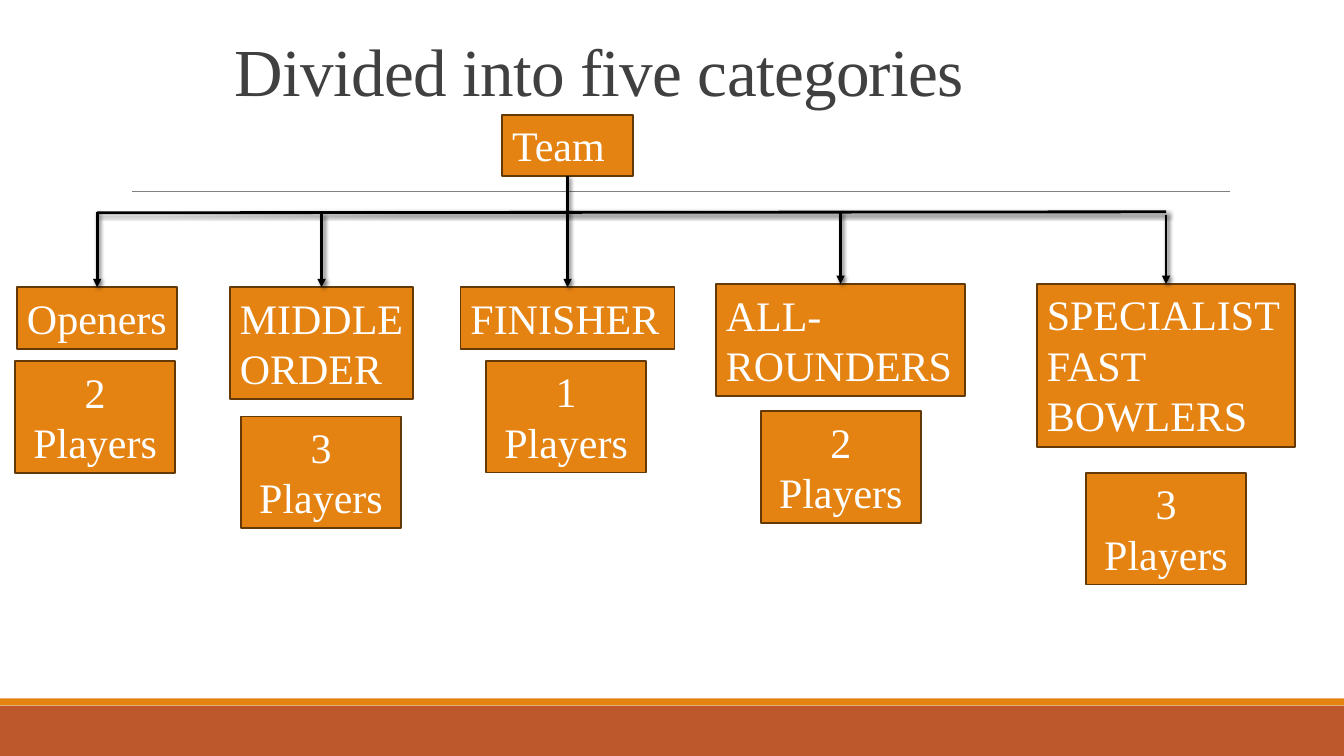
from dataclasses import dataclass

import pptx
import pptx.util
from lxml import etree
from pptx.dml.color import RGBColor
from pptx.enum.shapes import MSO_CONNECTOR, MSO_SHAPE
from pptx.enum.text import MSO_ANCHOR, PP_ALIGN
from pptx.oxml.ns import qn
from pptx.shapes.autoshape import Shape
from pptx.shapes.connector import Connector

Pt = pptx.util.Pt
FONT = "Times New Roman"
COLORS = {
    "orange": "E48312",
    "rust": "BD582C",
    "outline": "643908",
    "title": "404040",
    "rule": "808080",
    "black": "000000",
    "white": "FFFFFF",
}
WIDTH, HEIGHT = 960, 540
COUNT_W, COUNT_H = 114.5, 79.9
TEAM_CENTER = 405.4


@dataclass
class Category:
    label: str
    center: float
    top: float
    width: float
    height: float
    arrow_top: float
    players: int
    count_center: float
    count_top: float


CATEGORIES = [
    Category("Openers", 69.4, 205.2, 114.5, 43.9, 151.2, 2, 68, 257.9),
    Category("MIDDLE ORDER", 229.7, 205.2, 131, 79.9, 153.2, 3, 229.3, 297.5),
    Category("FINISHER", TEAM_CENTER, 205.2, 152.9, 43.9, 126, 1, 404.4, 257.6),
    Category("ALL-ROUNDERS", 600.4, 202.9, 178, 79.9, 151.9, 2, 600.6, 293.7),
    Category("SPECIALIST FAST BOWLERS", 832.9, 202.9, 184.5, 116.4, 153.9, 3, 832.9, 337.7),
]


def rgb(name: str) -> RGBColor:
    return RGBColor.from_string(COLORS[name])


def add_bar(shapes, top: float, height: float, color: str) -> None:
    s = shapes.add_shape(MSO_SHAPE.RECTANGLE, 0, Pt(top), Pt(WIDTH), Pt(height))
    s.shadow.inherit = False
    s.fill.solid()
    s.fill.fore_color.rgb = rgb(color)
    s.line.fill.background()


def add_box(shapes, center: float, top: float, width: float, height: float,
            lines: list[str], align: PP_ALIGN = PP_ALIGN.LEFT) -> Shape:
    s = shapes.add_shape(MSO_SHAPE.RECTANGLE, Pt(center - width / 2), Pt(top), Pt(width), Pt(height))
    s.shadow.inherit = False
    s.fill.solid()
    s.fill.fore_color.rgb = rgb("orange")
    s.line.color.rgb = rgb("outline")
    s.line.width = Pt(1.25)
    tf = s.text_frame
    tf.word_wrap = True
    tf.vertical_anchor = MSO_ANCHOR.TOP
    if align == PP_ALIGN.LEFT:
        tf.margin_right = Pt(4)  # room for the longest word
    tf.text = "\n".join(lines)
    for p in tf.paragraphs:
        p.alignment = align
        p.font.name = FONT
        p.font.size = Pt(30)
        p.font.color.rgb = rgb("white")
    return s


def add_line(shapes, x1: float, y1: float, x2: float, y2: float,
             color: str = "black", weight: float = 2, shadow: bool = True,
             arrow: bool = False) -> Connector:
    c = shapes.add_connector(MSO_CONNECTOR.STRAIGHT, Pt(x1), Pt(y1), Pt(x2), Pt(y2))
    c.line.color.rgb = rgb(color)
    c.line.width = Pt(weight)
    if arrow:
        etree.SubElement(c.line._get_or_add_ln(), qn("a:tailEnd"), type="triangle")
    effects = etree.SubElement(c._element.spPr, qn("a:effectLst"))
    if shadow:
        outer = etree.SubElement(effects, qn("a:outerShdw"), blurRad=str(Pt(3)),
                                 dist=str(Pt(2)), dir="2700000", rotWithShape="0")
        shade = etree.SubElement(outer, qn("a:srgbClr"), val=COLORS["black"])
        etree.SubElement(shade, qn("a:alpha"), val="60000")
    return c


def add_title(shapes, text: str) -> None:
    tf = shapes.add_textbox(Pt(57.6), Pt(14.4), Pt(740.9), Pt(67.7)).text_frame
    tf.word_wrap = True
    tf.vertical_anchor = MSO_ANCHOR.BOTTOM
    p = tf.paragraphs[0]
    p.alignment = PP_ALIGN.CENTER
    p.line_spacing = 0.85
    p.font.name = FONT
    p.font.size = Pt(48)
    p.font.color.rgb = rgb("title")
    r = p.add_run()
    r.text = text
    r._r.get_or_add_rPr().set("spc", "-50")


def main() -> None:
    prs = pptx.Presentation()
    prs.slide_width, prs.slide_height = Pt(WIDTH), Pt(HEIGHT)
    shapes = prs.slides.add_slide(prs.slide_layouts[6]).shapes

    # Footer bars, rule and title
    add_bar(shapes, 504, 36, "rust")
    add_bar(shapes, 498.9, 5, "orange")
    add_line(shapes, 94.3, 136.7, 878.9, 136.7, "rule", 0.5, shadow=False)
    add_title(shapes, "Divided into five categories")

    # Team and category boxes
    team = add_box(shapes, TEAM_CENTER, 82, 93.3, 43.9, ["Team"])
    boxes = [add_box(shapes, c.center, c.top, c.width, c.height, [c.label]) for c in CATEGORIES]

    # Crossbar and arrows
    add_line(shapes, CATEGORIES[0].center, 152, CATEGORIES[-1].center, 151.3)
    for c, box in zip(CATEGORIES, boxes):
        arrow = add_line(shapes, c.center, c.arrow_top, c.center, c.top, arrow=True)
        if c.center == TEAM_CENTER:
            arrow.begin_connect(team, 2)
        arrow.end_connect(box, 0)

    # Player counts
    for c in CATEGORIES:
        add_box(shapes, c.count_center, c.count_top, COUNT_W, COUNT_H,
                [str(c.players), "Players"], PP_ALIGN.CENTER)

    prs.save("out.pptx")


if __name__ == "__main__":
    main()
